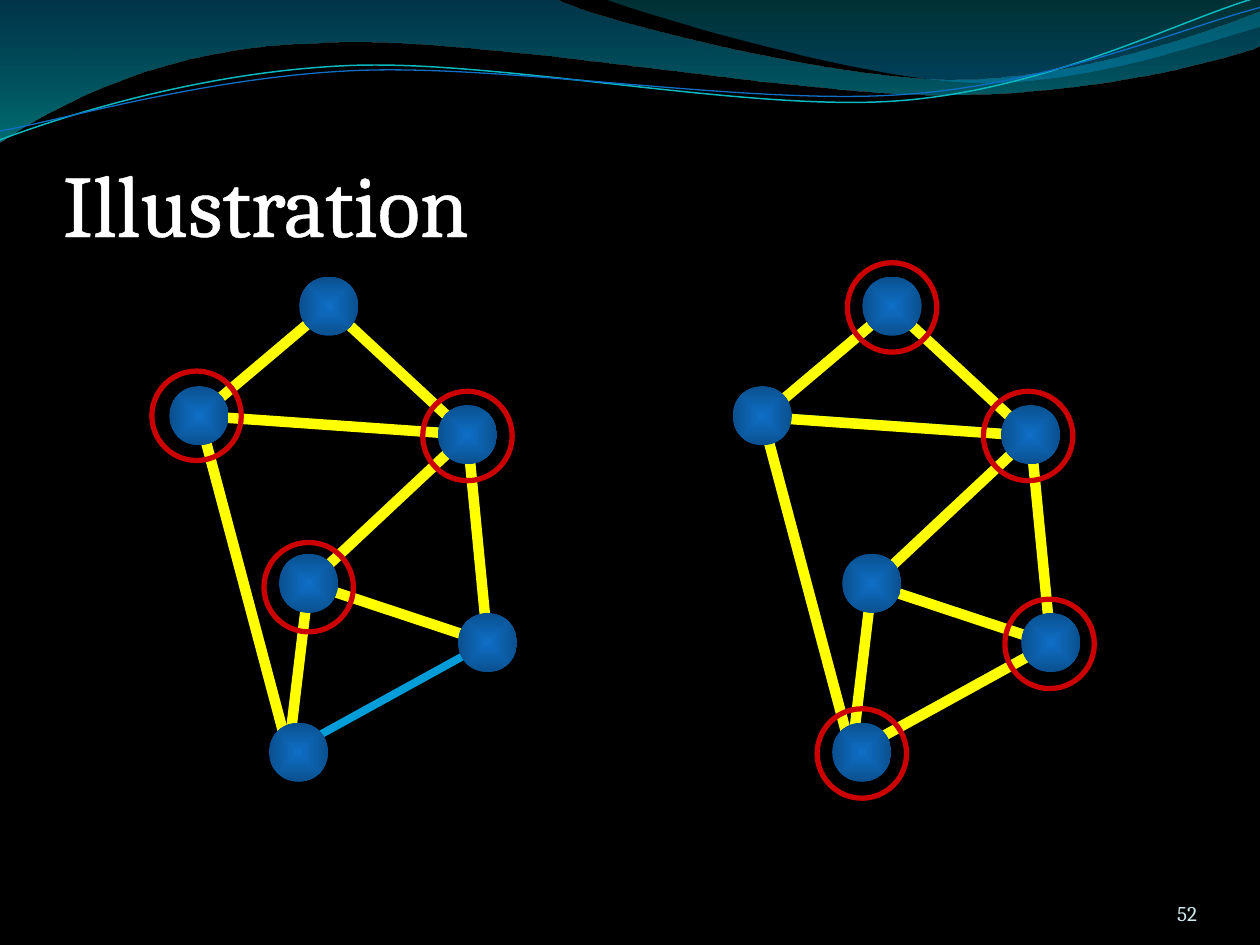
from dataclasses import dataclass
from math import cos, radians, sin

from lxml import etree
from pptx import Presentation
from pptx.dml.color import RGBColor
from pptx.enum.shapes import MSO_CONNECTOR, MSO_SHAPE
from pptx.enum.text import MSO_ANCHOR, PP_ALIGN
from pptx.oxml.ns import qn
from pptx.util import Inches, Pt

STRAIGHT = MSO_CONNECTOR.STRAIGHT
OVAL = MSO_SHAPE.OVAL
BOTTOM = MSO_ANCHOR.BOTTOM
LEFT, RIGHT = PP_ALIGN.LEFT, PP_ALIGN.RIGHT


@dataclass(frozen=True)
class Theme:
    font: str = "Cambria"
    title_size: float = 50
    title_outline: float = 1.45
    number_size: float = 12
    background: str = "000000"
    title: str = "FFFFFF"
    number: str = "D1EAEE"
    edge: str = "009DD9"
    covered: str = "FFFF00"
    ring: str = "CC0000"
    node: str = "0F6FC6"
    node_rim_shade: int = 48
    edge_width: float = 4.5
    covered_width: float = 6
    ring_width: float = 3


THEME = Theme()


@dataclass(frozen=True)
class Stop:
    position: int
    color: str
    alpha: int = 100
    shade: int = 100


@dataclass(frozen=True)
class Wave:
    start: tuple
    segments: tuple
    stops: tuple = ()
    line: str = ""
    width: float = 0
    rotation: float = 0
    center: tuple = (0, 0)


@dataclass(frozen=True)
class Node:
    x: float
    y: float
    edge_shift: float = 0


@dataclass(frozen=True)
class Ring:
    node: str
    dx: float = 0
    dy: float = 0


@dataclass(frozen=True)
class Graph:
    offset: float
    covered_drop: float
    uncovered: tuple
    rings: tuple


WAVES = (
    Wave((0, 0), (
        (4.4, -0.01), (4.76, 0.17, 6.64, 0.63, 7.58, 0.63),
        (8.53, 0.63, 9.58, 0.26, 10, 0.09), (10.01, 0.36),
        (9.83, 0.44, 8.7, 0.76, 7.46, 0.75), (6.22, 0.75, 3.82, 0.28, 2.57, 0.34),
        (1.29, 0.36, 0.46, 0.83, -0.01, 1.13), (0, 0),
    ), stops=(Stop(0, "0074A1", 45), Stop(100, "00C6CF", 55))),
    Wave((4.79, -0.01), (
        (5.09, 0.11, 6.82, 0.62, 7.69, 0.65), (8.56, 0.69, 9.61, 0.32, 10, 0.21),
        (10, 0), (4.79, -0.01),
    ), stops=(Stop(0, "00A1A9", 30), Stop(80, "008BBF", 45))),
    Wave((0, 1.11), (
        (0.48, 0.93, 1.58, 0.57, 2.77, 0.52), (3.95, 0.47, 5.93, 0.89, 7.13, 0.8),
        (8.33, 0.71, 9.38, 0.15, 9.98, -0.02),
    ), line="0AB8BF", width=0.85, rotation=357.3, center=(4.99, 0.57)),
    Wave((0, 1.04), (
        (0.47, 0.96, 1.64, 0.61, 2.83, 0.56), (4.03, 0.51, 5.97, 0.84, 7.17, 0.75),
        (8.36, 0.67, 9.41, 0.21, 10, 0.06),
    ), line="0F6FC6", width=0.75, rotation=357.3, center=(5, 0.59)),
)

NODES = {
    "top": Node(2.61, 2.43),
    "left": Node(1.58, 3.3),
    "middle": Node(2.45, 4.63),
    "right": Node(3.71, 3.45),
    "bottom": Node(2.37, 5.97, edge_shift=-0.08),
    "corner": Node(3.87, 5.1),
}
EDGES = (
    ("top", "right"), ("right", "left"), ("corner", "right"),
    ("corner", "middle"), ("bottom", "middle"), ("bottom", "corner"),
    ("right", "middle"), ("bottom", "left"), ("top", "left"),
)
NODE_SIZE, RING_SIZE = 0.47, 0.71

GRAPHS = (
    Graph(4.47, 0.01, (), (
        Ring("right", -0.02, 0.01), Ring("corner", -0.01, 0.01),
        Ring("bottom", 0, 0.01), Ring("top", 0, 0.01),
    )),
    Graph(0, 0, (("bottom", "corner"),), (
        Ring("middle", 0, 0.03), Ring("right", 0, 0.01), Ring("left", -0.02),
    )),
)


def rgb(color: str) -> RGBColor:
    return RGBColor.from_string(color)


def fill_gradient(shape, stops: tuple, radial: bool = False) -> None:
    gradient = etree.Element(qn("a:gradFill"), rotWithShape="1")
    stop_list = etree.SubElement(gradient, qn("a:gsLst"))
    for stop in stops:
        entry = etree.SubElement(stop_list, qn("a:gs"), pos=str(stop.position * 1000))
        color = etree.SubElement(entry, qn("a:srgbClr"), val=stop.color)
        for name in ("shade", "alpha"):
            percent = getattr(stop, name)
            if percent < 100:
                etree.SubElement(color, qn(f"a:{name}"), val=str(percent * 1000))
    if radial:
        center = etree.SubElement(gradient, qn("a:path"), path="shape")
        etree.SubElement(center, qn("a:fillToRect"), dict.fromkeys("ltrb", "50000"))
    else:
        etree.SubElement(gradient, qn("a:lin"), ang="5400000", scaled="1")
    shape.fill.background()
    properties = shape._element.spPr
    properties.replace(properties.find(qn("a:noFill")), gradient)


def style_line(shape, color: str, width: float) -> None:
    shape.line.color.rgb = rgb(color)
    shape.line.width = Pt(width)


def unrotate(wave: Wave, x: float, y: float) -> tuple:
    angle = radians(-wave.rotation)
    dx, dy = x - wave.center[0], y - wave.center[1]
    return (Inches(wave.center[0] + dx * cos(angle) - dy * sin(angle)),
            Inches(wave.center[1] + dx * sin(angle) + dy * cos(angle)))


def bend_segments(shape, segments: tuple) -> None:
    lines = list(shape._element.iter(qn("a:lnTo")))
    for segment in segments:
        group = [lines.pop(0) for _ in range(len(segment) // 2)]
        if len(group) == 3:
            curve = etree.Element(qn("a:cubicBezTo"))
            group[0].addprevious(curve)
            for line in group:
                curve.append(line[0])
                line.getparent().remove(line)


def add_wave(slide, wave: Wave) -> None:
    points = [unrotate(wave, *segment[index:index + 2])
              for segment in wave.segments for index in range(0, len(segment), 2)]
    builder = slide.shapes.build_freeform(*unrotate(wave, *wave.start))
    builder.add_line_segments(points, close=bool(wave.stops))
    shape = builder.convert_to_shape()
    bend_segments(shape, wave.segments)
    shape.rotation = wave.rotation
    shape.shadow.inherit = False
    if wave.stops:
        fill_gradient(shape, wave.stops)
        shape.line.fill.background()
    else:
        shape.fill.background()
        style_line(shape, wave.line, wave.width)


def add_text(slide, text: str, *, left: float, top: float, width: float, height: float,
             size: float, color: str, align=LEFT, inset_top: float = 0,
             outline: float = 0) -> None:
    frame = slide.shapes.add_textbox(
        Inches(left), Inches(top), Inches(width), Inches(height)).text_frame
    frame.word_wrap = True
    frame.vertical_anchor = BOTTOM
    frame.margin_left = frame.margin_right = frame.margin_bottom = 0
    frame.margin_top = Inches(inset_top)
    paragraph = frame.paragraphs[0]
    paragraph.alignment = align
    run = paragraph.add_run()
    run.text = text
    run.font.name = THEME.font
    run.font.size = Pt(size)
    run.font.color.rgb = rgb(color)
    if outline:
        line = etree.Element(qn("a:ln"), w=str(Pt(outline)))
        fill = etree.SubElement(line, qn("a:solidFill"))
        etree.SubElement(fill, qn("a:srgbClr"), val=color)
        run._r.get_or_add_rPr().insert(0, line)


def add_circle(slide, x: float, y: float, size: float):
    shape = slide.shapes.add_shape(
        OVAL, Inches(x - size / 2), Inches(y - size / 2), Inches(size), Inches(size))
    shape.shadow.inherit = False
    return shape


def add_edges(slide, edges, offset: float, drop: float, color: str, width: float) -> None:
    for names in edges:
        lengths = [Inches(value) for node in map(NODES.get, names)
                   for value in (node.x + node.edge_shift + offset, node.y + drop)]
        connector = slide.shapes.add_connector(STRAIGHT, *lengths)
        style_line(connector, color, width)
        etree.SubElement(connector._element.spPr, qn("a:effectLst"))


def add_graph(slide, graph: Graph) -> None:
    add_edges(slide, EDGES, graph.offset, 0, THEME.edge, THEME.edge_width)
    covered = [edge for edge in EDGES if edge not in graph.uncovered]
    add_edges(slide, covered, graph.offset, graph.covered_drop,
              THEME.covered, THEME.covered_width)
    stops = (Stop(0, THEME.node), Stop(100, THEME.node, shade=THEME.node_rim_shade))
    for node in NODES.values():
        shape = add_circle(slide, node.x + graph.offset, node.y, NODE_SIZE)
        fill_gradient(shape, stops, radial=True)
        shape.line.fill.background()
    for ring in graph.rings:
        node = NODES[ring.node]
        shape = add_circle(slide, node.x + graph.offset + ring.dx, node.y + ring.dy, RING_SIZE)
        shape.fill.background()
        style_line(shape, THEME.ring, THEME.ring_width)


def main() -> None:
    presentation = Presentation()
    presentation.slide_width, presentation.slide_height = Inches(10), Inches(7.5)
    slide = presentation.slides.add_slide(presentation.slide_layouts[6])
    slide.background.fill.solid()
    slide.background.fill.fore_color.rgb = rgb(THEME.background)
    for wave in WAVES:
        add_wave(slide, wave)
    add_text(slide, "52", left=8.67, top=6.95, width=0.83, height=0.4,
             size=THEME.number_size, color=THEME.number, align=RIGHT)
    add_text(slide, "Illustration", left=0.5, top=0.77, width=9, height=1.25,
             size=THEME.title_size, color=THEME.title, inset_top=0.05,
             outline=THEME.title_outline)
    for graph in GRAPHS:
        add_graph(slide, graph)
    presentation.save("out.pptx")


if __name__ == "__main__":
    main()
